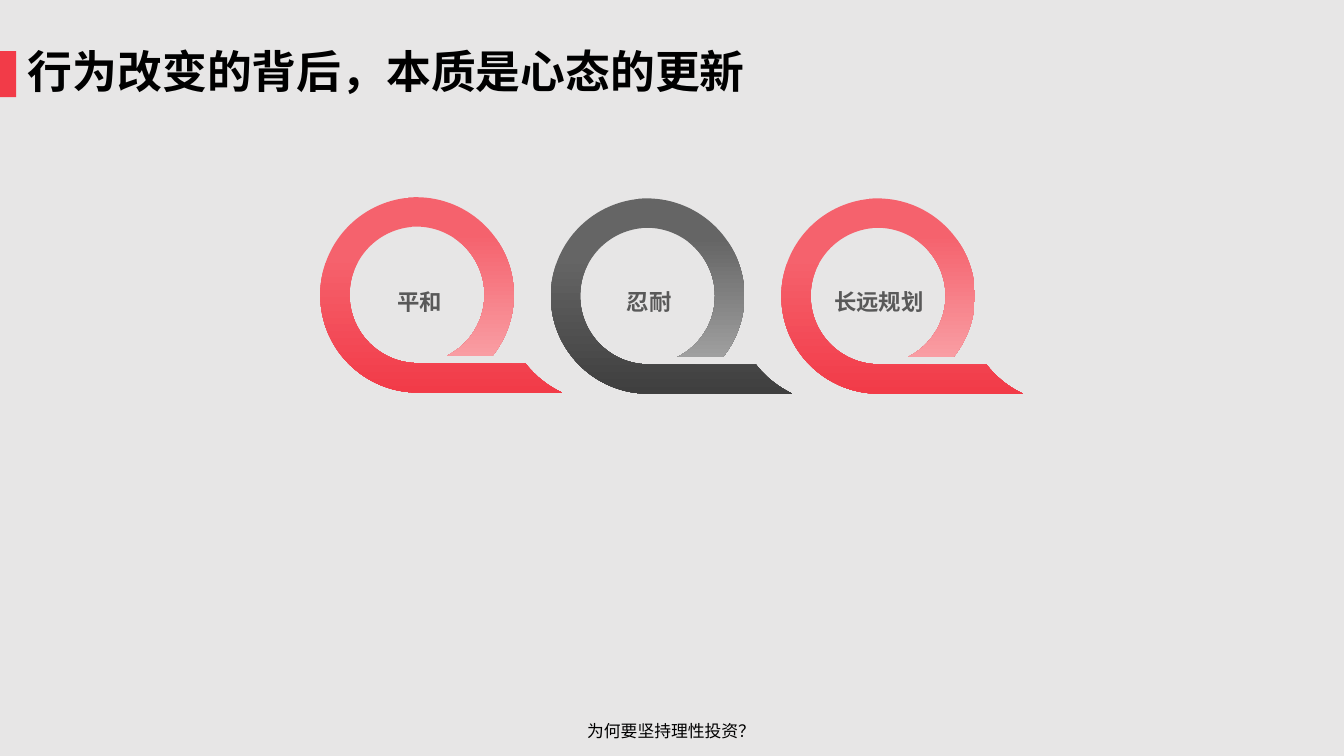
from dataclasses import dataclass
from math import ceil, cos, floor, radians, sin, tan

from lxml.etree import SubElement
from pptx import Presentation
from pptx.dml.color import RGBColor as Rgb
from pptx.enum.shapes import MSO_SHAPE as Kind
from pptx.enum.text import MSO_ANCHOR as Anchor, PP_ALIGN as Align
from pptx.oxml.ns import qn
from pptx.util import Cm, Pt

TITLE = "行为改变的背后，本质是心态的更新"
FOOTER = "为何要坚持理性投资？"
RINGS = [("平和", "red", 7.43), ("忍耐", "gray", 7.46), ("长远规划", "red", 7.46)]


@dataclass(frozen=True)
class Theme:
    back: str = "E7E6E6"
    bar: str = "F23B48"
    ink: str = "000000"
    label: str = "595959"
    head: str = "Noto Sans CJK SC"
    body: str = "Manrope"
    big: int = 32
    mid: int = 16
    small: int = 12


THEME = Theme()
TONES = {
    "red": {"arc": [(0.23, "F5626D"), (1, "F99DA3")],
            "tail": [(0.3, "F5626D"), (1, "F23B48")]},
    "gray": {"arc": [(0.25, "656565"), (1, "9F9F9F")],
             "tail": [(0.3, "656565"), (1, "3F3F3F")]},
}
LEFT, PITCH = 10.53, 5.81
TEXT_LEFT, TEXT_TOP, TEXT_PITCH = 8.32, 7.05, 5.79
OUTER, INNER = 2.46, 1.72
UNITS = 1000


def arc(x, y, size, start, end):
    low, high = sorted((start, end))
    cuts = [90 * n for n in range(floor(low / 90) + 1, ceil(high / 90))]
    turns = [radians(t) for t in sorted([low, *cuts, high], reverse=start > end)]

    def spot(turn, pull=0):
        return (x + size * (cos(turn) - pull * sin(turn)),
                y + size * (sin(turn) + pull * cos(turn)))

    parts = [[spot(turns[0])]]
    for a, b in zip(turns, turns[1:]):
        pull = 4 / 3 * tan((b - a) / 4)
        parts.append([spot(a, pull), spot(b, -pull), spot(b)])
    return parts


def bend(shape, parts):
    lines = list(shape._element.iter(qn("a:lnTo")))
    for part in parts:
        group, lines = lines[:len(part)], lines[len(part):]
        if len(part) == 3:
            group[0].tag = qn("a:cubicBezTo")
            for line in group[1:]:
                group[0].append(line[0])
                line.getparent().remove(line)


def write(frame, text, font, size, color, bold=False, align=Align.CENTER):
    frame.word_wrap = True
    para = frame.paragraphs[0]
    para.alignment = align
    run = para.add_run()
    run.text = text
    run.font.name = font
    run.font.size = Pt(size)
    run.font.bold = bold
    run.font.color.rgb = Rgb.from_string(color)
    SubElement(run.font._element, qn("a:ea")).set("typeface", font)
    return para


def trim(frame):
    frame.margin_left = frame.margin_right = 0
    frame.margin_top = frame.margin_bottom = 0


def band(shapes, parts, stops):
    dots = [(round(x * UNITS), round(y * UNITS)) for part in parts for x, y in part]
    form = shapes.build_freeform(*dots[0], scale=Cm(1) / UNITS)
    form.add_line_segments(dots[1:], close=True)
    shape = form.convert_to_shape()
    bend(shape, parts[1:])
    shape.shadow.inherit = False
    shape.line.fill.background()
    shape.fill.gradient()
    shape.fill.gradient_angle = 270
    for stop, (place, color) in zip(shape.fill.gradient_stops, stops):
        stop.position = place
        stop.color.rgb = Rgb.from_string(color)


def ring(slide, i, text, tone, y):
    shapes = slide.shapes.add_group_shape().shapes
    x = LEFT + i * PITCH
    near = x - 0.04
    band(shapes, arc(near, y, OUTER, -95, 39) + arc(near, y, INNER, 63, -95),
         tone["arc"])
    band(shapes, arc(x, y, OUTER, 265, 90)
         + arc(x + 4.7, y + 0.18, 2.52, 115, 142)
         + arc(x, y, INNER, 90, 265), tone["tail"])
    box = shapes.add_textbox(Cm(TEXT_LEFT + i * TEXT_PITCH), Cm(TEXT_TOP), Cm(4.5), Cm(3))
    trim(box.text_frame)
    para = write(box.text_frame, text, THEME.head, THEME.mid, THEME.label, True)
    para.line_spacing = 1.3


def main():
    deck = Presentation()
    deck.slide_width, deck.slide_height = Cm(33.87), Cm(19.05)
    slide = deck.slides.add_slide(deck.slide_layouts[5])
    fill = slide.background.fill
    fill.solid()
    fill.fore_color.rgb = Rgb.from_string(THEME.back)

    bar = slide.shapes.add_shape(Kind.ROUNDED_RECTANGLE, 0, Cm(1.29), Cm(0.41), Cm(1.16))
    bar.adjustments[0] = 0
    bar.shadow.inherit = False
    bar.fill.solid()
    bar.fill.fore_color.rgb = Rgb.from_string(THEME.bar)
    bar.line.fill.background()

    title = slide.shapes.title
    title.left, title.top = Cm(0.7), Cm(1.29)
    title.width, title.height = Cm(32.64), Cm(1.16)
    trim(title.text_frame)
    title.text_frame.vertical_anchor = Anchor.MIDDLE
    para = write(title.text_frame, TITLE, THEME.head, THEME.big, THEME.ink, True, Align.LEFT)
    para.line_spacing = 0.9
    para.space_before = Pt(10)

    foot = slide.shapes.add_textbox(Cm(11.2), Cm(18.03), Cm(11.43), Cm(1.02))
    write(foot.text_frame, FOOTER, THEME.body, THEME.small, THEME.ink)

    for i, (text, tone, y) in enumerate(RINGS):
        ring(slide, i, text, TONES[tone], y)
    deck.save("out.pptx")


if __name__ == "__main__":
    main()
